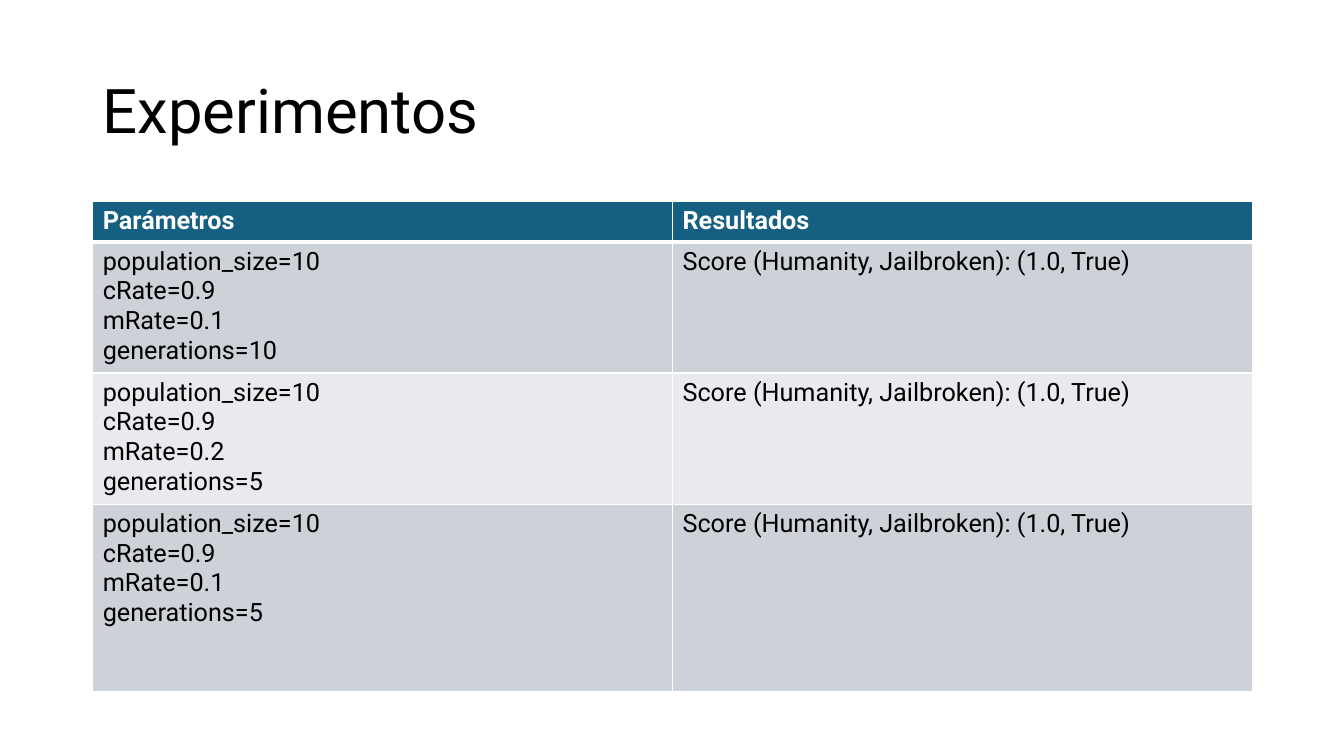
import pptx
import pptx.dml.color
import pptx.enum.text
import pptx.oxml
import pptx.oxml.ns
import pptx.util

TITLE = "Experimentos"
HEADINGS = ("Parámetros", "Resultados")
SCORE = "Score (Humanity, Jailbroken): (1.0, True)"
EXPERIMENTS = [
    {"population_size": 10, "cRate": 0.9, "mRate": 0.1, "generations": 10},
    {"population_size": 10, "cRate": 0.9, "mRate": 0.2, "generations": 5},
    {"population_size": 10, "cRate": 0.9, "mRate": 0.1, "generations": 5},
]
COLORS = {"ink": "000000", "white": "FFFFFF", "header": "156082",
          "dark_band": "CCD2D8", "light_band": "E8EAED"}
FONT = "Roboto"
WIDTH, HEIGHT = 13.33, 7.5
LEFT, TABLE_TOP = 0.92, 2
CONTENT_WIDTH = 11.5
ROW_HEIGHTS = (0.4, 1.27, 1.27, 1.86)
THIN, THICK = 1, 3

inches = pptx.util.Inches


def rgb(name):
    return pptx.dml.color.RGBColor.from_string(COLORS[name])


def write(frame, text, size=18, color="ink", bold=False, spacing=None):
    """Fill a text frame, one paragraph for each line of text."""
    for index, line in enumerate(text.split("\n")):
        para = frame.add_paragraph() if index else frame.paragraphs[0]
        if spacing:
            para.line_spacing = spacing
        span = para.add_run()
        span.text = line
        span.font.name = FONT
        span.font.size = pptx.util.Pt(size)
        span.font.bold = bold
        span.font.color.rgb = rgb(color)


def set_borders(cell, top, bottom):
    widths = {"L": THIN, "R": THIN, "T": top, "B": bottom}
    properties = cell._tc.get_or_add_tcPr()
    for index, (side, points) in enumerate(widths.items()):
        line = pptx.oxml.parse_xml(
            f'<a:ln{side} {pptx.oxml.ns.nsdecls("a")} w="{pptx.util.Pt(points)}">'
            f'<a:solidFill><a:srgbClr val="{COLORS["white"]}"/></a:solidFill>'
            f'</a:ln{side}>')
        properties.insert(index, line)


def add_title(page):
    box = page.shapes.add_textbox(
        inches(LEFT), inches(0.4), inches(CONTENT_WIDTH), inches(1.45))
    box.text_frame.word_wrap = True
    box.text_frame.vertical_anchor = pptx.enum.text.MSO_ANCHOR.MIDDLE
    write(box.text_frame, TITLE, size=44, spacing=0.9)


def add_results_table(page):
    rows = [HEADINGS]
    for settings in EXPERIMENTS:
        lines = [f"{name}={value}" for name, value in settings.items()]
        rows.append(("\n".join(lines), SCORE))

    table = page.shapes.add_table(
        len(rows), len(HEADINGS), inches(LEFT), inches(TABLE_TOP),
        inches(CONTENT_WIDTH), inches(sum(ROW_HEIGHTS))).table
    for column in table.columns:
        column.width = inches(CONTENT_WIDTH / len(HEADINGS))

    for index, texts in enumerate(rows):
        table.rows[index].height = inches(ROW_HEIGHTS[index])
        is_header = index == 0
        band = "dark_band" if index % 2 else "light_band"
        for column, text in enumerate(texts):
            cell = table.cell(index, column)
            cell.fill.solid()
            cell.fill.fore_color.rgb = rgb("header" if is_header else band)
            set_borders(cell, top=THICK if index == 1 else THIN,
                        bottom=THICK if is_header else THIN)
            write(cell.text_frame, text, bold=is_header,
                  color="white" if is_header else "ink")


def main():
    deck = pptx.Presentation()
    deck.slide_width, deck.slide_height = inches(WIDTH), inches(HEIGHT)
    page = deck.slides.add_slide(deck.slide_layouts[6])
    add_title(page)
    add_results_table(page)
    deck.save("out.pptx")


if __name__ == "__main__":
    main()
